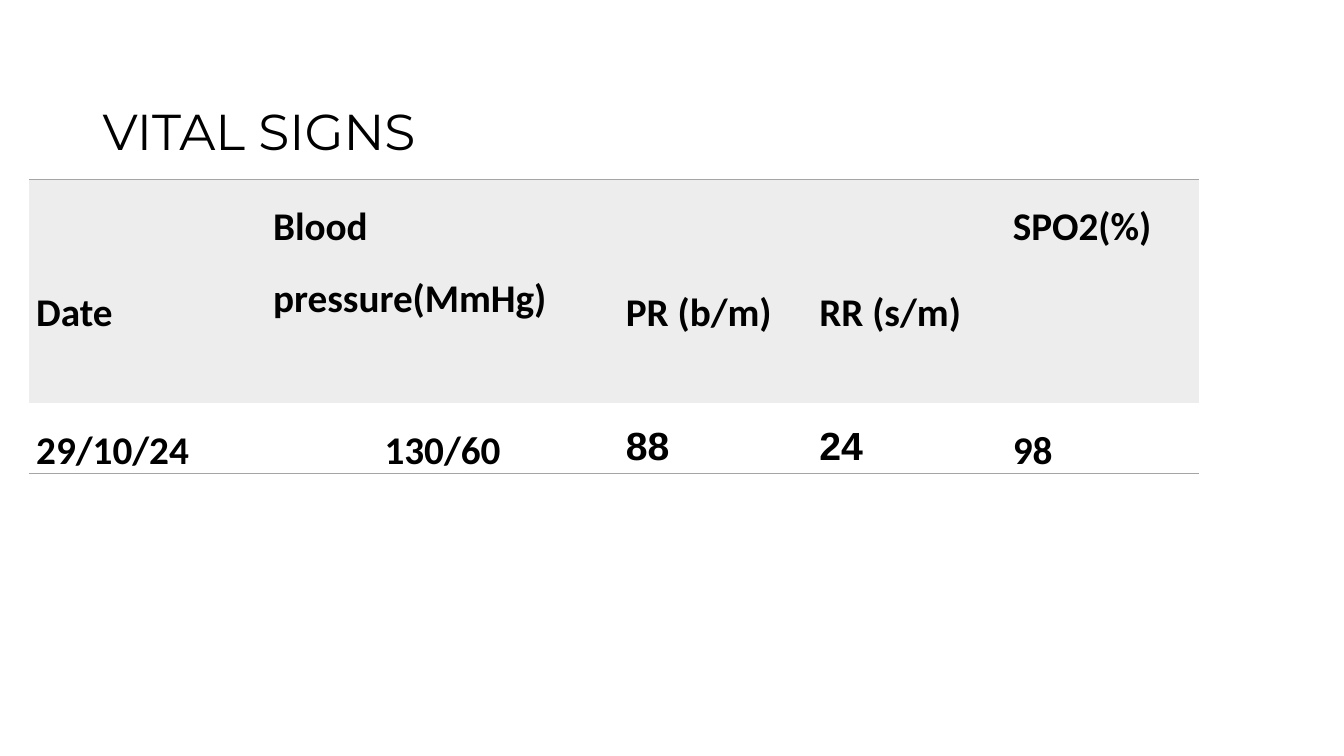
from dataclasses import dataclass

from lxml.etree import SubElement
from pptx import Presentation
from pptx.dml.color import RGBColor
from pptx.enum.text import MSO_ANCHOR, PP_ALIGN
from pptx.oxml import parse_xml
from pptx.oxml.ns import nsdecls, qn
from pptx.util import Pt


@dataclass(frozen=True)
class Theme:
    """Colours, fonts and type sizes of the slide."""
    ink: str = "000000"
    rule: str = "A5A5A5"
    band: str = "EDEDED"
    title_font: str = "Montserrat"
    body_font: str = "Calibri"
    number_font: str = "Arial"
    title_size: int = 36
    body_size: int = 28


THEME = Theme()
NO_STYLE = "{2D5ABB26-0587-4C30-8999-92F81FD0307C}"
COLUMNS = [169.2, 252, 138.2, 138.2, 138.2]
ROWS = [159.6, 50.7]
LOWERED = 61.3
HEADER = [
    ("Date", LOWERED),
    ("Blood pressure(MmHg)", 0),
    ("PR (b/m)", LOWERED),
    ("RR (s/m)", LOWERED),
    ("SPO2(%)", 0),
]
READINGS = [
    ("29/10/24", THEME.body_font, PP_ALIGN.JUSTIFY),
    ("130/60", THEME.body_font, PP_ALIGN.CENTER),
    ("88", THEME.number_font, PP_ALIGN.JUSTIFY),
    ("24", THEME.number_font, PP_ALIGN.JUSTIFY),
    ("98", THEME.body_font, PP_ALIGN.JUSTIFY),
]


def apply(obj, formats):
    """Set each attribute named in formats on obj."""
    for name, value in formats.items():
        setattr(obj, name, value)


def write(tf, text, font, para):
    """Put one formatted run into the first paragraph of a text frame."""
    p = tf.paragraphs[0]
    apply(p, para)
    r = p.add_run()
    r.text = text
    apply(r.font, font)
    r.font.color.rgb = RGBColor.from_string(THEME.ink)


def add_title(slide, left, top, width, height):
    """Place the bottom-anchored title in its box."""
    tf = slide.shapes.add_textbox(Pt(left), Pt(top), Pt(width), Pt(height)).text_frame
    apply(tf, {"word_wrap": True, "vertical_anchor": MSO_ANCHOR.BOTTOM})
    write(tf, "VITAL SIGNS",
          {"name": THEME.title_font, "size": Pt(THEME.title_size)},
          {"line_spacing": 0.9})


def add_rule(cell, side):
    """Draw a thin border on one side of a cell."""
    ln = parse_xml(f'<a:{side} {nsdecls("a")} w="12700"/>')
    fill = SubElement(ln, qn("a:solidFill"))
    SubElement(fill, qn("a:srgbClr"), val=THEME.rule)
    cell._tc.get_or_add_tcPr().insert(0, ln)


def fill_cell(cell, text, font=THEME.body_font, align=PP_ALIGN.JUSTIFY, drop=0):
    """Write a bold cell whose text starts the given drop below the top."""
    apply(cell, {"margin_left": Pt(5), "margin_right": Pt(5),
                 "margin_top": Pt(drop), "margin_bottom": 0})
    write(cell.text_frame, text,
          {"name": font, "size": Pt(THEME.body_size), "bold": True},
          {"alignment": align, "line_spacing": 1.5, "space_after": Pt(10)})


def add_vitals(slide, left, top):
    """Place the vital signs table with its top left corner at the given point."""
    frame = slide.shapes.add_table(len(ROWS), len(COLUMNS), Pt(left), Pt(top),
                                   Pt(sum(COLUMNS)), Pt(sum(ROWS)))
    table = frame.table
    apply(table, {"first_row": False, "horz_banding": False})
    table._tbl.tblPr.find(qn("a:tableStyleId")).text = NO_STYLE
    for column, width in zip(table.columns, COLUMNS):
        column.width = Pt(width)
    for row, height in zip(table.rows, ROWS):
        row.height = Pt(height)
    for i, (text, drop) in enumerate(HEADER):
        cell = table.cell(0, i)
        fill_cell(cell, text, drop=drop)
        cell.fill.solid()
        cell.fill.fore_color.rgb = RGBColor.from_string(THEME.band)
        add_rule(cell, "lnT")
    for i, (text, font, align) in enumerate(READINGS):
        cell = table.cell(1, i)
        fill_cell(cell, text, font, align)
        cell.fill.background()
        add_rule(cell, "lnB")


def main():
    """Build and save the slide."""
    prs = Presentation()
    apply(prs, {"slide_width": Pt(960), "slide_height": Pt(540)})
    slide = prs.slides.add_slide(prs.slide_layouts[6])
    add_title(slide, 66.2, 36, 309.6, 82.8)
    add_vitals(slide, 20.9, 128.2)
    prs.save("out.pptx")


if __name__ == "__main__":
    main()
